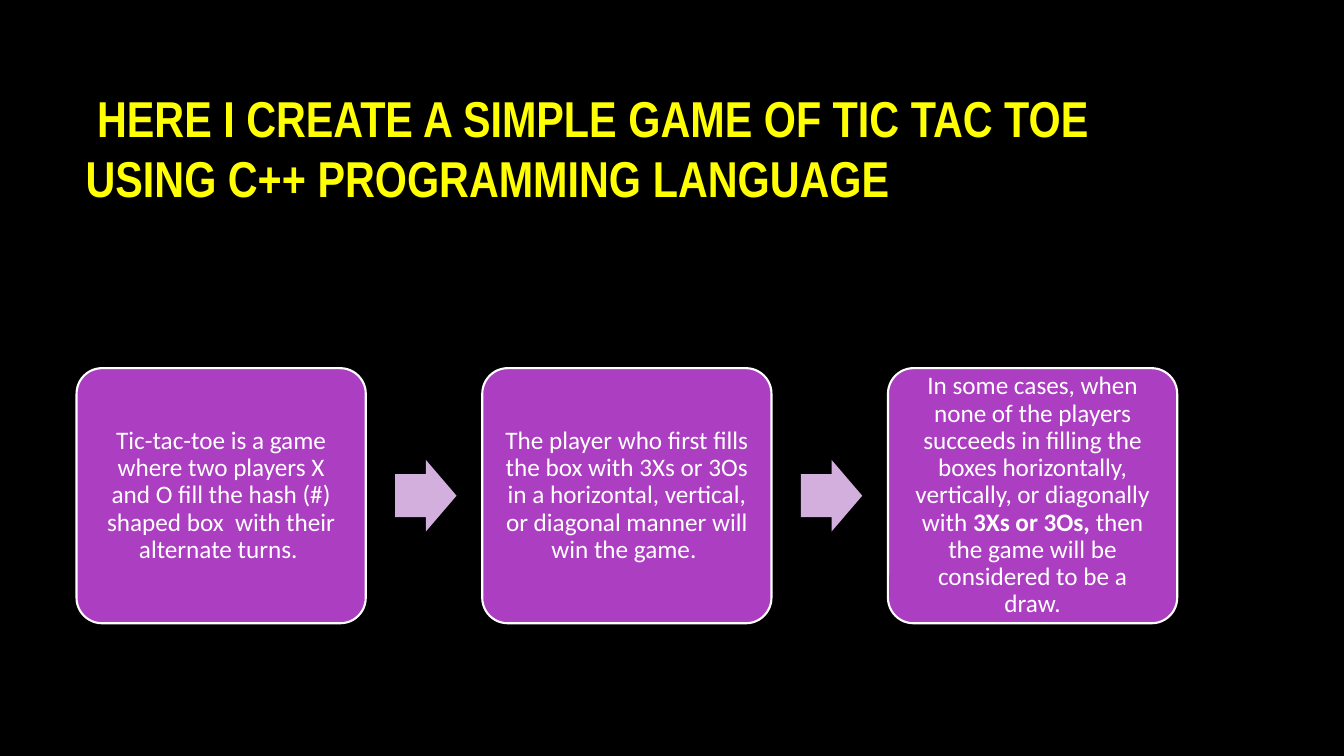
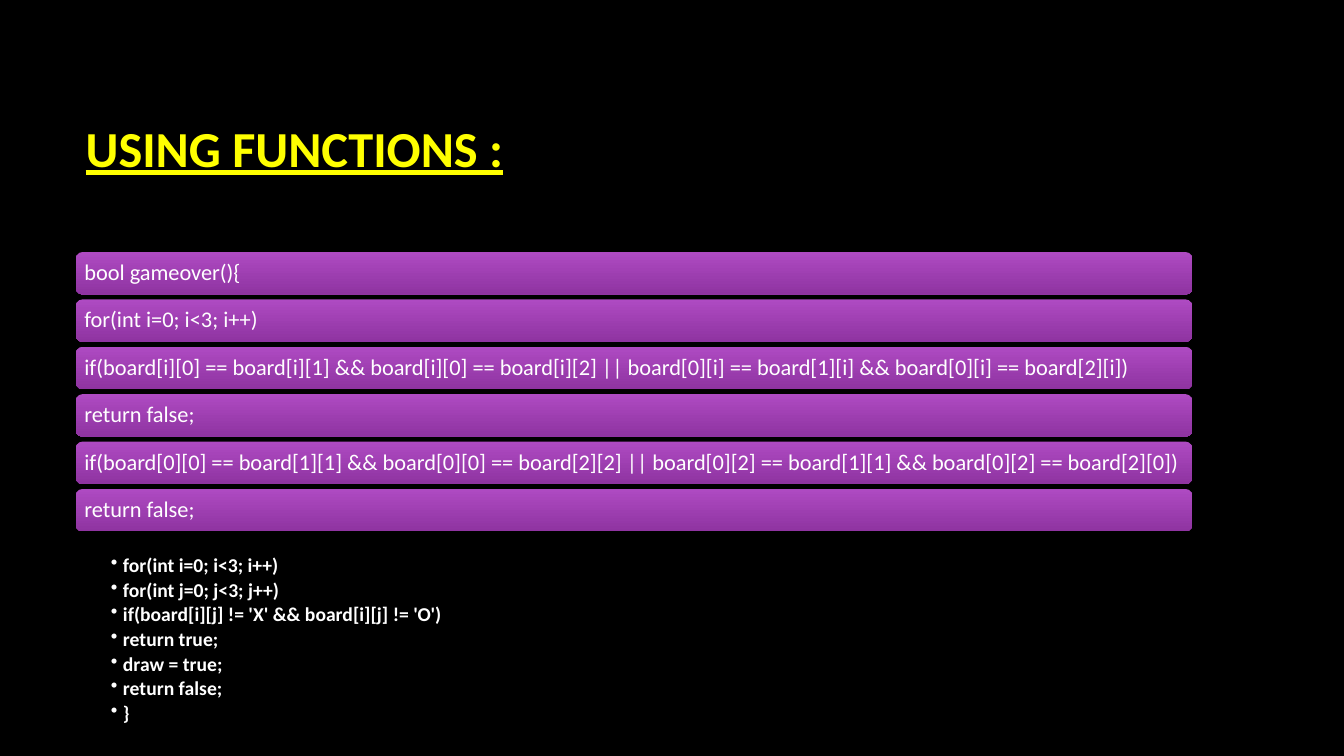
from lxml import etree
from pptx import Presentation
from pptx.dml.color import RGBColor
from pptx.enum.shapes import MSO_SHAPE
from pptx.enum.text import MSO_ANCHOR, MSO_AUTO_SIZE, PP_ALIGN
from pptx.oxml.ns import qn
from pptx.util import Pt

ROUNDED = MSO_SHAPE.ROUNDED_RECTANGLE
ARROW = MSO_SHAPE.RIGHT_ARROW
LEFT, CENTER = PP_ALIGN.LEFT, PP_ALIGN.CENTER
TOP, MIDDLE = MSO_ANCHOR.TOP, MSO_ANCHOR.MIDDLE

BLACK = RGBColor(0x00, 0x00, 0x00)
WHITE = RGBColor(0xFF, 0xFF, 0xFF)
YELLOW = RGBColor(0xFF, 0xFF, 0x00)
PURPLE = RGBColor(0xAC, 0x3E, 0xC1)
LILAC = RGBColor(0xD2, 0xAF, 0xDD)
BAR_LIGHT = RGBColor(0xAE, 0x4A, 0xC2)
BAR_DARK = RGBColor(0x8F, 0x34, 0xA1)

GAME_TITLE = "\u00a0HERE I CREATE A SIMPLE GAME OF\u00a0TIC TAC TOE USING\u00a0C++ PROGRAMMING LANGUAGE"
GAME_RULES = [
    [("Tic-tac-toe is a game where two players X and O fill the hash (#) shaped "
      "box\u00a0\u00a0with their alternate turns. ", False)],
    [("The player who first fills the box with 3Xs or 3Os in a horizontal, vertical, "
      "or diagonal manner will win the game.\u00a0", False)],
    [("In some cases, when none of the players succeeds in filling the boxes "
      "horizontally, vertically, or diagonally with\u00a0", False),
     ("3Xs or 3Os,", True),
     ("\u00a0then the game will be considered to be a draw.", False)],
]
FUNCTIONS_TITLE = "USING FUNCTIONS :"
CODE_BARS = [
    "bool gameover(){",
    "for(int i=0; i<3; i++)",
    "if(board[i][0] == board[i][1] && board[i][0] == board[i][2] || "
    "board[0][i] == board[1][i] && board[0][i] == board[2][i])",
    "return false;",
    "if(board[0][0] == board[1][1] && board[0][0] == board[2][2] || "
    "board[0][2] == board[1][1] && board[0][2] == board[2][0])",
    "return false;",
]
CODE_BULLETS = [
    "for(int i=0; i<3; i++)",
    "for(int j=0; j<3; j++)",
    "if(board[i][j] != 'X' && board[i][j] != 'O')",
    "return true;",
    "draw = true;",
    "return false;",
    "}",
]

MARGIN, CONTENT_WIDTH = 54, 797.8
RULE_LEFT, RULE_TOP, RULE_WIDTH, RULE_HEIGHT, RULE_PITCH = 54.7, 263, 206.6, 182.2, 289.8
ARROW_OFFSET, ARROW_WIDTH, ARROW_HEIGHT = 227.6, 43.8, 51.2
BAR_TOP, BAR_HEIGHT, BAR_PITCH = 180, 30.4, 33.85
BULLETS_TOP, BULLETS_HEIGHT, BULLET_INDENT = 396.7, 131, 8.64


def write(frame, paragraphs, size, font="Calibri", color=WHITE, bold=False,
          underline=False, align=LEFT, anchor=MIDDLE, insets=(7.2, 3.6),
          spacing=1.0, after=0, bullet=None):
    frame.word_wrap = True
    frame.auto_size = MSO_AUTO_SIZE.NONE
    frame.vertical_anchor = anchor
    frame.margin_left = frame.margin_right = Pt(insets[0])
    frame.margin_top = frame.margin_bottom = Pt(insets[1])
    for index, content in enumerate(paragraphs):
        paragraph = frame.add_paragraph() if index else frame.paragraphs[0]
        paragraph.alignment = align
        paragraph.line_spacing = spacing
        paragraph.space_after = Pt(after)
        if bullet:
            properties = paragraph._p.get_or_add_pPr()
            properties.set("marL", str(Pt(BULLET_INDENT)))
            properties.set("indent", str(-Pt(BULLET_INDENT)))
            etree.SubElement(properties, qn("a:buChar")).set("char", bullet)
        runs = [(content, bold)] if isinstance(content, str) else content
        for text, heavy in runs:
            run = paragraph.add_run()
            run.text = text
            run.font.name = font
            run.font.size = Pt(size)
            run.font.bold = heavy
            run.font.underline = underline
            run.font.color.rgb = color


def add_titled_slide(title, **style):
    slide = deck.slides.add_slide(deck.slide_layouts[5])
    heading = slide.shapes.title
    heading.left, heading.top = Pt(MARGIN), Pt(48.2)
    heading.width, heading.height = Pt(CONTENT_WIDTH), Pt(114.5)
    write(heading.text_frame, [title], 36, color=YELLOW, bold=True, **style)
    return slide


def add_block(slide, preset, left, top, width, height, fill=None):
    block = slide.shapes.add_shape(preset, Pt(left), Pt(top), Pt(width), Pt(height))
    block.shadow.inherit = False
    block.line.fill.background()
    if fill:
        block.fill.solid()
        block.fill.fore_color.rgb = fill
    return block


deck = Presentation()
deck.slide_width, deck.slide_height = Pt(960), Pt(540)
backdrop = deck.slide_master.background.fill
backdrop.solid()
backdrop.fore_color.rgb = BLACK

game = add_titled_slide(GAME_TITLE, font="Arial Narrow")
for index, rule in enumerate(GAME_RULES):
    left = RULE_LEFT + index * RULE_PITCH
    card = add_block(game, ROUNDED, left, RULE_TOP, RULE_WIDTH, RULE_HEIGHT, PURPLE)
    card.adjustments[0] = 0.1
    card.line.color.rgb = WHITE
    card.line.width = Pt(1.5)
    write(card.text_frame, [rule], 18, align=CENTER, insets=(10, 10),
          spacing=0.9, after=6.3)
    if index < len(GAME_RULES) - 1:
        arrow = add_block(game, ARROW, left + ARROW_OFFSET,
                          RULE_TOP + (RULE_HEIGHT - ARROW_HEIGHT) / 2,
                          ARROW_WIDTH, ARROW_HEIGHT, LILAC)
        arrow.adjustments[0] = 0.6

functions = add_titled_slide(FUNCTIONS_TITLE, underline=True)
for index, code in enumerate(CODE_BARS):
    bar = add_block(functions, ROUNDED, MARGIN, BAR_TOP + index * BAR_PITCH,
                    CONTENT_WIDTH, BAR_HEIGHT)
    bar.fill.gradient()
    bar.fill.gradient_angle = 270
    for stop, color, position in zip(bar.fill.gradient_stops, (BAR_LIGHT, BAR_DARK), (0, 1)):
        stop.color.rgb = color
        stop.position = position
    write(bar.text_frame, [code], 16, insets=(4.8, 4.8), spacing=0.9, after=5.6)

listing = functions.shapes.add_textbox(Pt(MARGIN), Pt(BULLETS_TOP),
                                       Pt(CONTENT_WIDTH), Pt(BULLETS_HEIGHT))
write(listing.text_frame, CODE_BULLETS, 14, bold=True, anchor=TOP, insets=(25.2, 0),
      spacing=0.9, after=2.5, bullet="\u2022")

deck.save("out.pptx")
